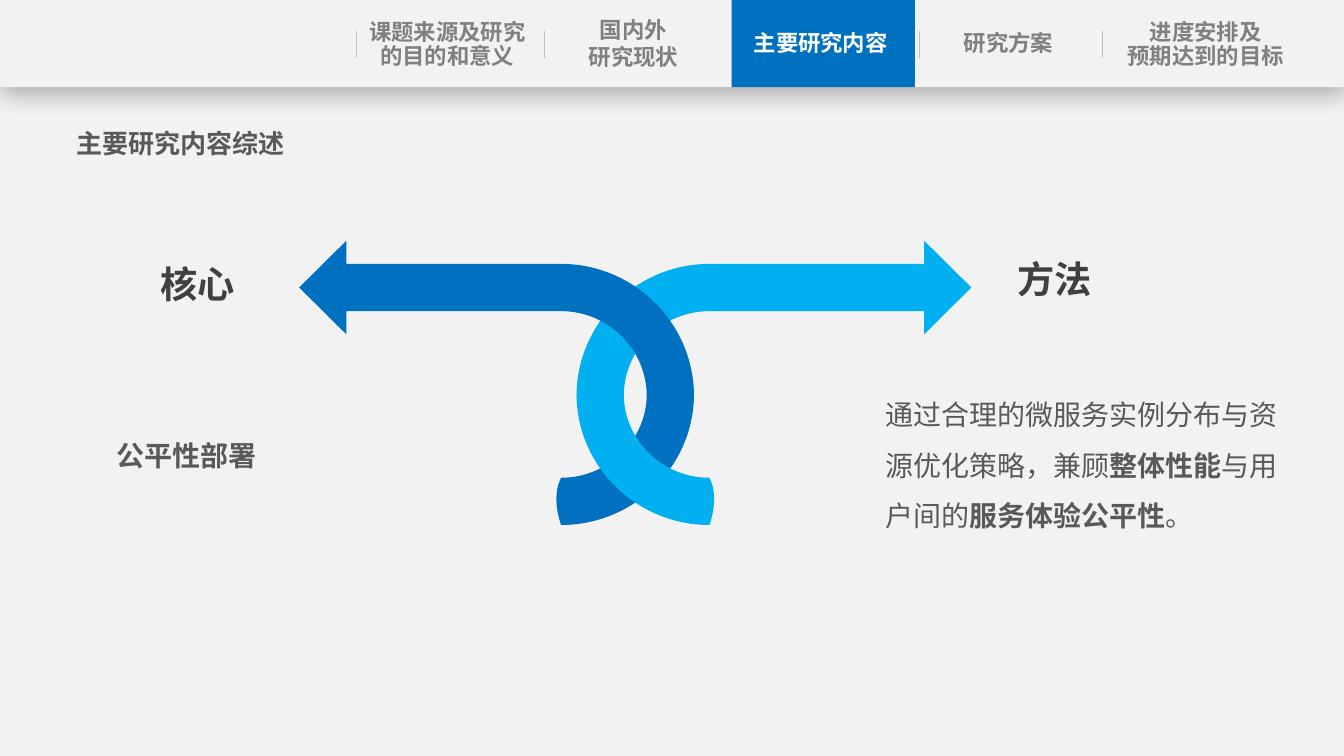
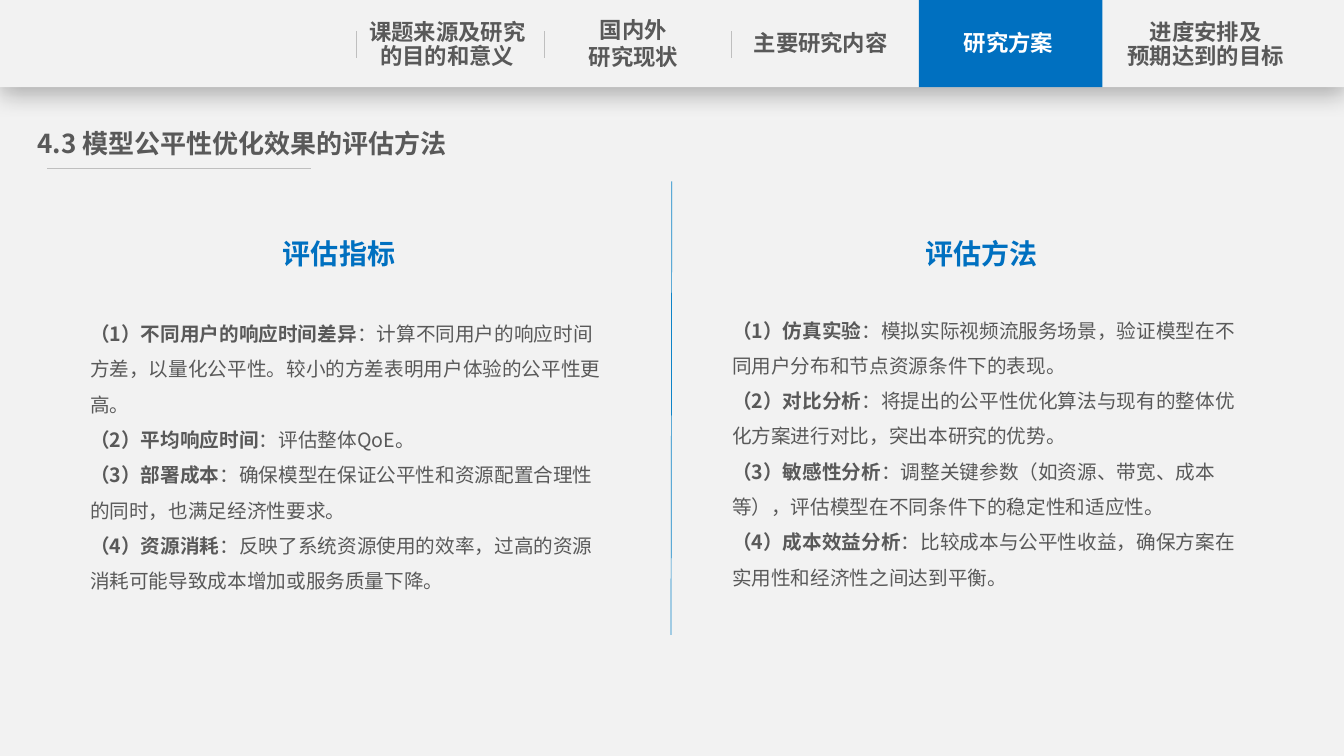
from lxml.etree import SubElement
from pptx import Presentation
from pptx.dml.color import RGBColor
from pptx.enum.shapes import MSO_CONNECTOR, MSO_SHAPE
from pptx.enum.text import MSO_ANCHOR, MSO_AUTO_SIZE, PP_ALIGN
from pptx.oxml.ns import qn
from pptx.util import Cm, Pt

FONT = "Noto Sans CJK SC"
COLORS = {
    "page": "F2F2F2", "blue": "0070C0", "sky": "00B0F0", "divider": "0D84C8",
    "rule": "BFBFBF", "muted": "808080", "text": "595959", "dark": "404040",
    "white": "FFFFFF", "shadow": "000000",
}
SLIDE_W, SLIDE_H = 33.87, 19.05
BAND_H, TAB_W = 2.2, 4.62
# Tab left, label left, label width, label lines with their line spacing
NAV = [
    (8.97, 9.27, 4.01, [("课题来源及研究的目的和意义", 0.9)]),
    (13.72, 14.1, 3.73, [("国内外", 0.8), ("研究现状", 1.0)]),
    (18.44, 18.82, 3.73, [("主要研究内容", 1.0)]),
    (23.16, 23.55, 3.73, [("研究方案", 1.0)]),
    (27.79, 28.3, 4.17, [("进度安排及", 0.9), ("预期达到的目标", 0.9)]),
]
METRICS = [
    "*（1）不同用户的响应时间差异*：计算不同用户的响应时间方差，以量化公平性。较小的方差表明用户体验的公平性更高。",
    "*（2）平均响应时间*：评估整体QoE。",
    "*（3）部署成本*：确保模型在保证公平性和资源配置合理性的同时，也满足经济性要求。",
    "*（4）资源消耗*：反映了系统资源使用的效率，过高的资源消耗可能导致成本增加或服务质量下降。",
]
METHODS = [
    "*（1）仿真实验*：模拟实际视频流服务场景，验证模型在不同用户分布和节点资源条件下的表现。",
    "*（2）对比分析*：将提出的公平性优化算法与现有的整体优化方案进行对比，突出本研究的优势。",
    "*（3）敏感性分析*：调整关键参数（如资源、带宽、成本等），评估模型在不同条件下的稳定性和适应性。",
    "*（4）成本效益分析*：比较成本与公平性收益，确保方案在实用性和经济性之间达到平衡。",
]


def rgb(name):
    return RGBColor.from_string(COLORS[name])


def paint(sp, color):
    sp.shadow.inherit = False
    sp.fill.solid()
    sp.fill.fore_color.rgb = rgb(color)
    sp.line.fill.background()
    return sp


def add_rect(s, x, y, w, h, color):
    sp = s.shapes.add_shape(MSO_SHAPE.RECTANGLE, Cm(x), Cm(y), Cm(w), Cm(h))
    return paint(sp, color)


def add_line(s, x1, y1, x2, y2, color="rule"):
    ln = s.shapes.add_connector(MSO_CONNECTOR.STRAIGHT, Cm(x1), Cm(y1), Cm(x2), Cm(y2))
    ln.line.color.rgb = rgb(color)
    ln.line.width = Pt(0.5)
    SubElement(ln.element.spPr, qn("a:effectLst"))


def format_paragraph(p, size, color, bold, align, spacing):
    p.alignment = align
    p.line_spacing = spacing
    p.space_before = Pt(0)
    p.font.size, p.font.bold, p.font.name = Pt(size), bold, FONT
    p.font.color.rgb = rgb(color)
    pPr = p._p.get_or_add_pPr()
    pPr.set("marL", "0")
    pPr.set("indent", "0")
    defaults = pPr.find(qn("a:defRPr"))
    SubElement(defaults, qn("a:ea")).set("typeface", FONT)
    defaults.addprevious(defaults.makeelement(qn("a:buNone")))


def write(sp, lines, size, color="text", bold=False, align=PP_ALIGN.LEFT,
          spacing=1.0, inset=(0.25, 0.13)):
    """Fill a shape with paragraphs; text between asterisks is bold."""
    tf = sp.text_frame
    tf.word_wrap = True
    tf.auto_size = MSO_AUTO_SIZE.NONE
    tf.vertical_anchor = MSO_ANCHOR.TOP
    tf.margin_left = tf.margin_right = Cm(inset[0])
    tf.margin_top = tf.margin_bottom = Cm(inset[1])
    for i, line in enumerate(lines):
        p = tf.add_paragraph() if i else tf.paragraphs[0]
        for j, part in enumerate(line.split("*")):
            if part:
                r = p.add_run()
                r.text = part
                if j % 2:
                    r.font.bold = True
        format_paragraph(p, size, color, bold, align, spacing)


def place(s, idx, x, y, w, h):
    sp = s.placeholders[idx]
    sp.left, sp.top, sp.width, sp.height = Cm(x), Cm(y), Cm(w), Cm(h)
    return sp


def add_header(s, active, label_color):
    """Band across the top with the section labels and the active tab."""
    band = add_rect(s, 0, 0, SLIDE_W, BAND_H, "page")
    effects = band.element.spPr.find(qn("a:effectLst"))
    shadow = SubElement(effects, qn("a:outerShdw"), blurRad=str(Pt(18)),
                        dist=str(Pt(4)), dir="5400000", algn="t", rotWithShape="0")
    tint = SubElement(shadow, qn("a:srgbClr"), val=COLORS["shadow"])
    SubElement(tint, qn("a:alpha"), val="29000")

    for i, (tab_x, x, w, label) in enumerate(NAV):
        if i == active:
            add_rect(s, tab_x, 0, TAB_W, BAND_H, "blue")
        elif i != active + 1 or i == len(NAV) - 2:
            add_line(s, tab_x, 0.79, tab_x, 1.47)
        # A label of one short line sits lower and is less tall
        y, h = (0.61, 0.94) if label[0][1] == 1 else (0.41, 1.5)
        box = s.shapes.add_textbox(Cm(x), Cm(y), Cm(w), Cm(h))
        write(box, [line for line, _ in label], 16,
              "white" if i == active else label_color, True, PP_ALIGN.CENTER,
              inset=(0, 0.13))
        for p, (_, spacing) in zip(box.text_frame.paragraphs, label):
            p.line_spacing = spacing


def new_slide(prs, title, title_x, title_w, active, label_color):
    s = prs.slides.add_slide(prs.slide_layouts.get_by_name("Comparison"))
    add_header(s, active, label_color)
    write(place(s, 0, title_x, 3.07, title_w, 1.07), [title], 18.6, bold=True,
          align=PP_ALIGN.CENTER, inset=(0, 0.13))
    return s


def add_outline(s, start, segments, color):
    """Closed outline; a segment of one point is a line, of three a curve."""
    builder = s.shapes.build_freeform(Cm(start[0]), Cm(start[1]))
    builder.add_line_segments([(Cm(x), Cm(y)) for seg in segments for x, y in seg],
                              close=True)
    sp = paint(builder.convert_to_shape(), color)
    corners = iter(list(sp.element.iter(qn("a:lnTo"))))
    for seg in segments:
        parts = [next(corners) for _ in seg]
        if len(parts) == 3:
            curve = parts[0].makeelement(qn("a:cubicBezTo"))
            parts[0].addprevious(curve)
            for part in parts:
                curve.append(part[0])
                part.getparent().remove(part)


def add_crossed_arrows(s, x, y):
    """Two hooked arrows woven around the point (x, y)."""
    shift, overlap = 1.87, 0.05
    outer_x, inner_x = 3.35, 2.16
    outer, inner = 3.33, 2.14
    low_outer, low_inner = 3.3, 2.11
    bar_end, tip, head = 5.41, 6.6, 1.18
    middle = (outer + inner) / 2
    k = 0.55

    def to_side(rx, ry):
        return [(-k * rx, ry), (-rx, k * ry), (-rx, 0)]

    def from_side(rx, ry):
        return [(-rx, k * ry), (-k * rx, ry), (0, ry)]

    upper = [from_side(outer_x, -outer), [(bar_end, -outer)],
             [(bar_end, -middle - head)], [(tip, -middle)],
             [(bar_end, -middle + head)], [(bar_end, -inner)], [(0, -inner)],
             to_side(inner_x, -inner)]
    cap = [(0.13, low_outer - 0.38), (0.18, low_outer - 0.84), (0, low_inner)]
    lower = [from_side(outer_x, low_outer), cap, to_side(inner_x, low_inner)]

    # The drawing order makes the arrows pass over and under each other
    for hook, side, top, color in (
            (upper, 1, y, "sky"), (upper, -1, y, "blue"),
            (lower, -1, y - overlap, "blue"), (lower, 1, y - overlap, "sky")):
        segments = [[(x + side * (shift + px), top + py) for px, py in seg]
                    for seg in hook]
        add_outline(s, (x + side * (shift - outer_x), top), segments, color)


def build_overview(prs):
    s = new_slide(prs, " 主要研究内容综述", 0, 8.97, 2, "muted")
    add_crossed_arrows(s, 16.01, 9.98)
    for idx, x, y, heading in ((1, 3.8, 6.45, "核心"), (3, 25.39, 6.33, "方法")):
        write(place(s, idx, x, y, 2.4, 1.4), [heading], 26.6, "dark", True)
    inset = (0.33, 0.15)
    write(place(s, 2, 2.6, 10.48, 4.75, 1.6), ["公平性部署"], 20, bold=True,
          spacing=1.5, inset=inset)
    write(place(s, 4, 21.98, 9.45, 10.6, 4.17),
          ["通过合理的微服务实例分布与资源优化策略，兼顾*整体性能*与用户间的*服务体验公平性*。"],
          20, spacing=1.5, inset=inset)


def add_column(s, idx, x, body_y, body_h, heading, items):
    write(place(s, idx, x + 0.15, 5.41, 12.75, 1.52), [heading], 20, "blue", True,
          PP_ALIGN.CENTER, 1.5)
    write(place(s, idx + 1, x, body_y, 13.64, body_h), items, 14, spacing=1.5)


def build_evaluation(prs):
    s = new_slide(prs, "4.3 模型公平性优化效果的评估方法", 0.69, 10.82, 3, "text")
    add_line(s, 1.19, 4.24, 7.85, 4.24)
    add_column(s, 1, 2.02, 7.69, 7.44, "评估指标", METRICS)
    add_line(s, 16.93, 4.57, 16.91, 16, "divider")
    add_column(s, 3, 18.2, 7.6, 8.3, "评估方法", METHODS)


def fill_master(prs, s):
    """Move a full-size backdrop from the slide to the master."""
    backdrop = add_rect(s, 0, 0, SLIDE_W, SLIDE_H, "page")
    prs.slide_master.shapes.element.insert(2, backdrop.element)


def main():
    prs = Presentation()
    prs.slide_width, prs.slide_height = Cm(SLIDE_W), Cm(SLIDE_H)
    build_overview(prs)
    build_evaluation(prs)
    fill_master(prs, prs.slides[0])
    prs.save("out.pptx")


if __name__ == "__main__":
    main()
